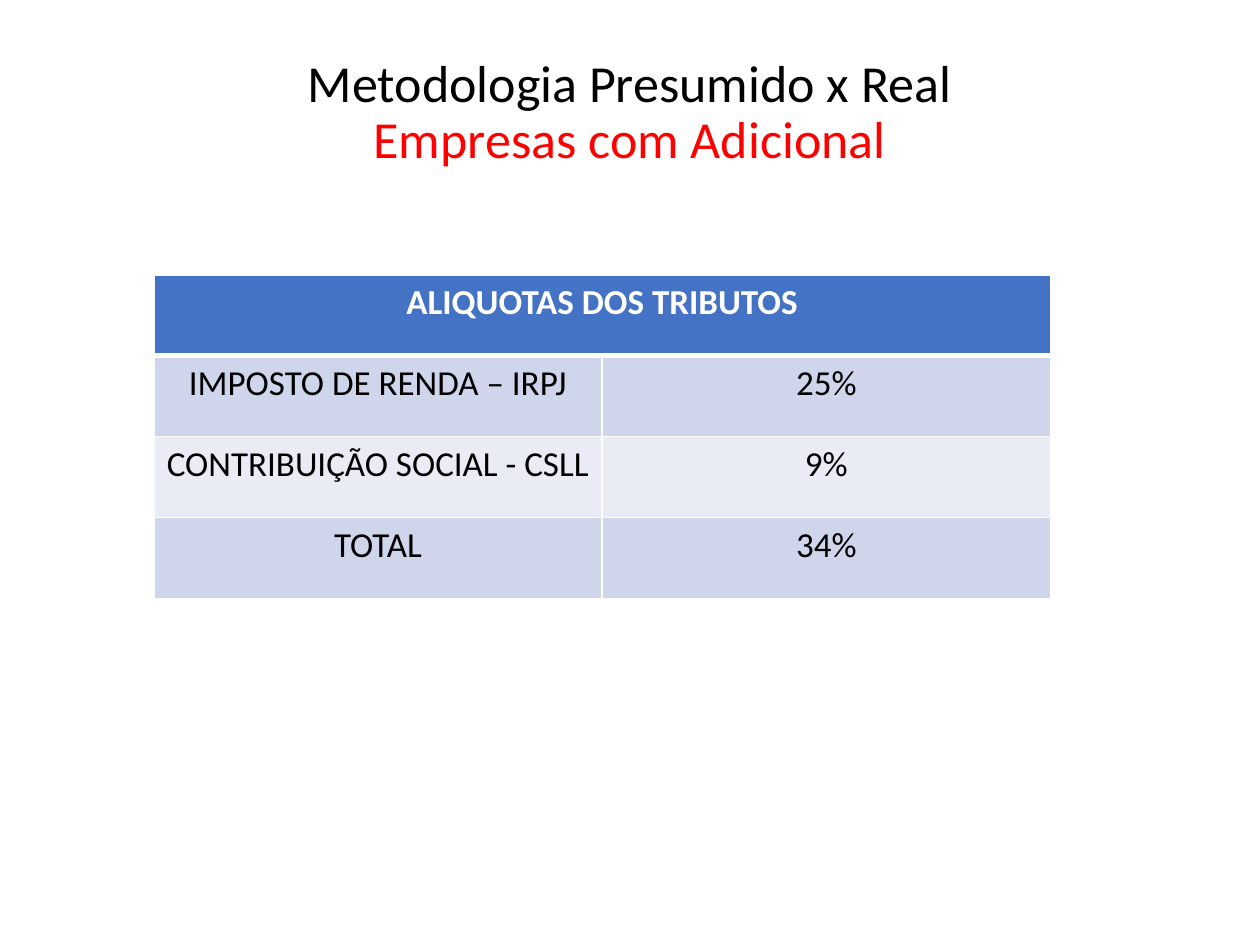
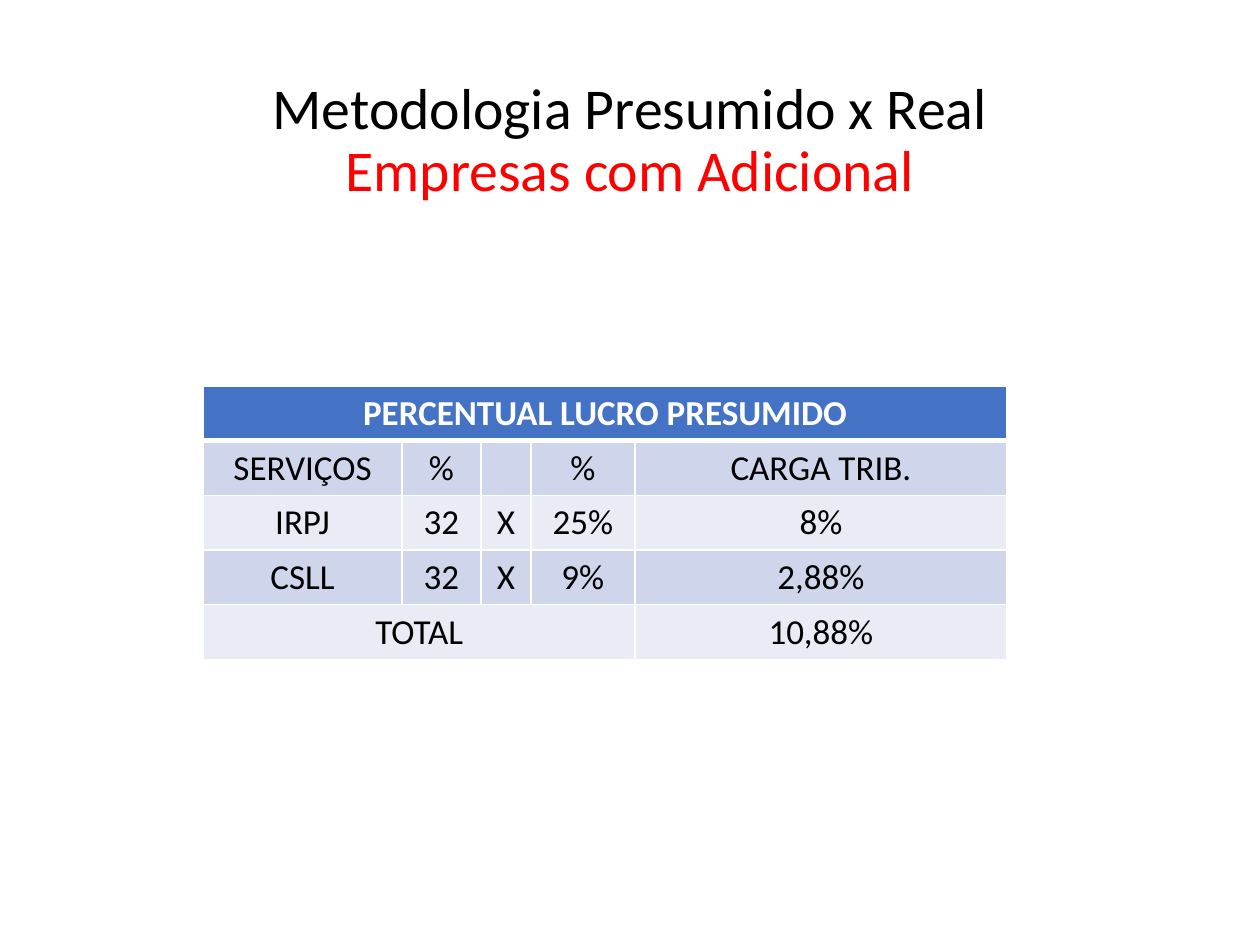
from lxml.etree import SubElement
from pptx import Presentation
from pptx.dml.color import RGBColor
from pptx.enum.text import MSO_ANCHOR as Anchor, PP_ALIGN as Align
from pptx.oxml.ns import qn
from pptx.util import Cm, Pt

FONT = "Calibri"
BLACK, WHITE, RED = "000000", "FFFFFF", "FF0000"
HEADER, BANDS = "4472C4", ("CFD5EA", "E9EBF5")
TITLE_BOX = (1.75, 1.02, 21.9, 3.68)
TITLE_LINES = [("Metodologia Presumido x Real", BLACK),
               ("Empresas com Adicional", RED)]


def color(value):
    return RGBColor.from_string(value)


def write(frame, lines, size=20, bold=False, spacing=None):
    """Fill one centred paragraph with (text, colour) lines."""
    paragraph = frame.paragraphs[0]
    paragraph.alignment = Align.CENTER
    if spacing:
        paragraph.line_spacing = spacing
    for number, (text, tone) in enumerate(lines):
        if number:
            paragraph.add_line_break()
        run = paragraph.add_run()
        run.text = text
        run.font.name = FONT
        run.font.size = Pt(size)
        run.font.bold = bold
        run.font.color.rgb = color(tone)


def add_title(slide, box, size, bottom_inset):
    frame = slide.shapes.add_textbox(*map(Cm, box)).text_frame
    frame.word_wrap = True
    frame.vertical_anchor = Anchor.MIDDLE
    frame.margin_bottom = Cm(bottom_inset)
    write(frame, TITLE_LINES, size=size, spacing=0.9)


def set_borders(cell, **widths):
    """Draw white cell borders; widths in points by side (L, R, T, B)."""
    properties = cell._tc.get_or_add_tcPr()
    for index, side in enumerate("LRTB"):
        line = SubElement(properties, qn(f"a:ln{side}"),
                          w=str(Pt(widths.get(side, 1))))
        fill = SubElement(line, qn("a:solidFill"))
        SubElement(fill, qn("a:srgbClr"), val=WHITE)
        properties.insert(index, line)


def add_rates_table(slide, left, top, columns, row_height, rows, spans):
    """Build a banded table; spans maps a row to its merged column count."""
    table = slide.shapes.add_table(
        len(rows), len(columns), Cm(left), Cm(top),
        Cm(sum(columns)), Cm(row_height * len(rows))).table
    for column, width in zip(table.columns, columns):
        column.width = Cm(width)
    for r, row in enumerate(rows):
        is_header = r == 0
        for c, text in enumerate(row):
            cell = table.cell(r, c)
            cell.fill.solid()
            cell.fill.fore_color.rgb = color(
                HEADER if is_header else BANDS[(r - 1) % 2])
            # A thick rule separates the header from the body
            set_borders(cell, B=3 if is_header else 1, T=3 if r == 1 else 1)
            if text:
                write(cell.text_frame, [(text, WHITE if is_header else BLACK)],
                      bold=is_header)
    for r, count in spans.items():
        table.cell(r, 0).merge(table.cell(r, count - 1))


def tax_rates_slide(slide):
    add_title(slide, TITLE_BOX, size=29.7, bottom_inset=1.26)
    add_rates_table(slide, 3.1, 5.54, [9.04, 9.04], 1.63, [
        ["ALIQUOTAS DOS TRIBUTOS", ""],
        ["IMPOSTO DE RENDA – IRPJ", "25%"],
        ["CONTRIBUIÇÃO SOCIAL - CSLL", "9%"],
        ["TOTAL", "34%"],
    ], spans={0: 2})


def presumed_profit_slide(slide):
    add_title(slide, TITLE_BOX, size=33, bottom_inset=0.13)
    add_rates_table(slide, 4.1, 7.78, [4, 1.6, 1, 2.1, 7.5], 1.1, [
        ["PERCENTUAL LUCRO PRESUMIDO", "", "", "", ""],
        ["SERVIÇOS", "%", "", "%", "CARGA TRIB."],
        ["IRPJ", "32", "X", "25%", "8%"],
        ["CSLL", "32", "X", "9%", "2,88%"],
        ["TOTAL", "", "", "", "10,88%"],
    ], spans={0: 5, 4: 4})


def main():
    deck = Presentation()
    deck.slide_width, deck.slide_height = Cm(25.4), Cm(19.05)
    for build in (tax_rates_slide, presumed_profit_slide):
        build(deck.slides.add_slide(deck.slide_layouts[6]))
    deck.save("out.pptx")


if __name__ == "__main__":
    main()
